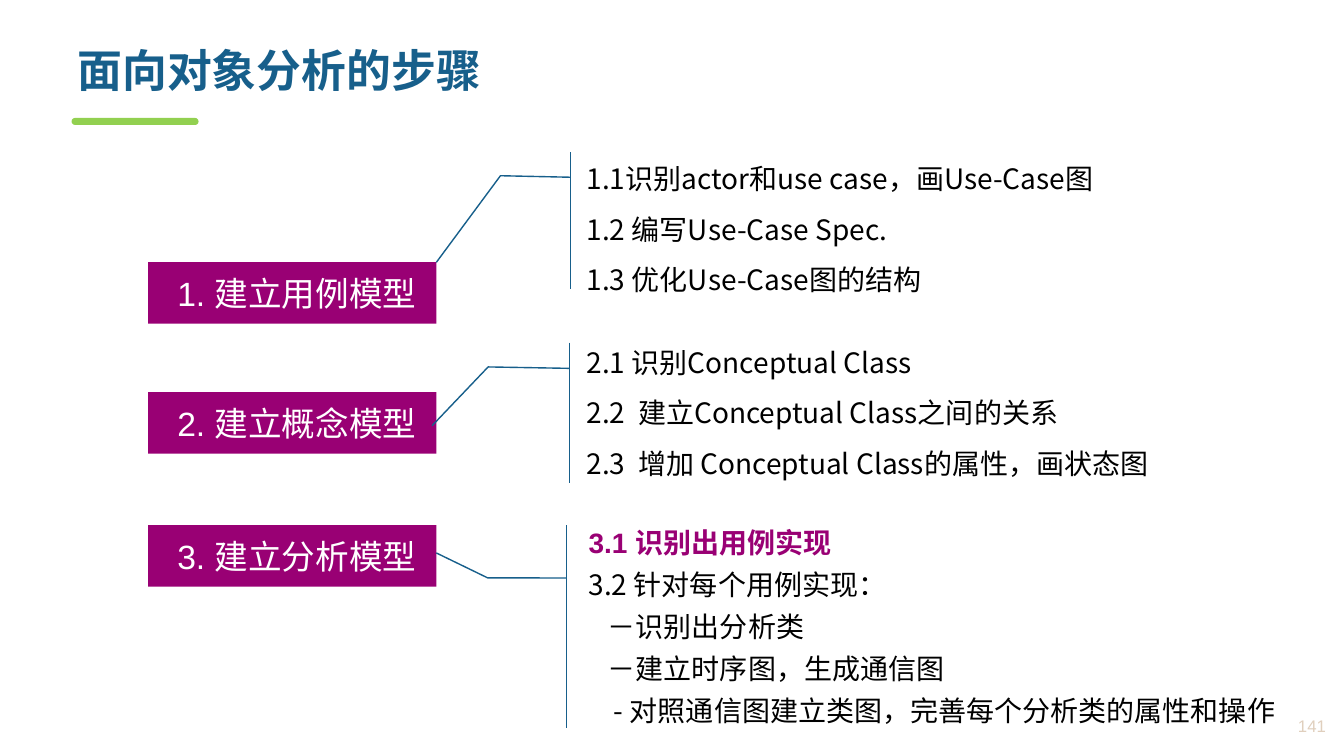
from dataclasses import dataclass

from lxml import etree
from pptx import Presentation
from pptx.dml.color import RGBColor
from pptx.enum.shapes import MSO_SHAPE
from pptx.enum.text import MSO_ANCHOR, PP_ALIGN
from pptx.oxml.ns import qn
from pptx.util import Inches, Pt

RECTANGLE = MSO_SHAPE.RECTANGLE
CALLOUT = MSO_SHAPE.LINE_CALLOUT_2_ACCENT_BAR
ROUNDED_BAR = MSO_SHAPE.ROUND_2_SAME_RECTANGLE
TOP, MIDDLE = MSO_ANCHOR.TOP, MSO_ANCHOR.MIDDLE
LEFT, RIGHT = PP_ALIGN.LEFT, PP_ALIGN.RIGHT

NOTO, ARIAL = "Noto Sans CJK SC", "Arial"
BLUE, PURPLE, GREEN = "175F8B", "990074", "92D050"
BLACK, WHITE, SAND = "000000", "FFFFFF", "E0CFBD"


@dataclass
class Span:
    text: str
    size: float = 20
    color: str = BLACK
    name: str = NOTO
    bold: bool = False


@dataclass
class Para:
    spans: list[Span]
    line: float | None = None  # exact line height in points
    before: float = 0
    indent: float = 0
    align: PP_ALIGN = LEFT


@dataclass
class Step:
    label: str
    top: float
    details: tuple[float, float, float, float]
    leader: tuple[float, ...]
    paras: list[Para]


def rgb(color: str) -> RGBColor:
    return RGBColor.from_string(color)


def write(shape, paras: list[Para], anchor=MIDDLE) -> None:
    frame = shape.text_frame
    frame.word_wrap = True
    frame.vertical_anchor = anchor
    for index, item in enumerate(paras):
        para = frame.paragraphs[0] if index == 0 else frame.add_paragraph()
        formats = {"alignment": item.align, "space_before": Pt(item.before)}
        if item.line:
            formats["line_spacing"] = Pt(item.line)
        for key, value in formats.items():
            setattr(para, key, value)
        if item.indent:
            para._p.get_or_add_pPr().set("marL", str(Inches(item.indent)))
        for span in item.spans:
            run = para.add_run()
            run.text = span.text
            formats = {"size": Pt(span.size), "bold": span.bold, "name": span.name}
            for key, value in formats.items():
                setattr(run.font, key, value)
            run.font.color.rgb = rgb(span.color)
            east_asian = etree.SubElement(run._r.get_or_add_rPr(), qn("a:ea"))
            east_asian.set("typeface", NOTO)


def add_shape(page, kind, at, fill=None, line=None, adjustments=()):
    shape = page.shapes.add_shape(kind, *map(Inches, at))
    shape.shadow.inherit = False
    if fill:
        shape.fill.solid()
        shape.fill.fore_color.rgb = rgb(fill)
    else:
        shape.fill.background()
    if line:
        shape.line.color.rgb = rgb(line)
        shape.line.width = Pt(1)
    else:
        shape.line.fill.background()
    for index, value in enumerate(adjustments):
        shape.adjustments[index] = value
    return shape


def add_text(page, at, para: Para, anchor) -> None:
    write(page.shapes.add_textbox(*map(Inches, at)), [para], anchor)


def wide(text: str, line: float = 36) -> Para:
    return Para([Span(text)], line)


def tight(text: str, indent: float = 0) -> Para:
    return Para([Span(text)], 24, 6, indent)


STEPS = [
    Step("1. 建立用例模型", 2.6, (5.72, 1.51, 5.73, 1.36),
         (0.183, -0.011, 0.172, -0.132, 0.804, -0.243),
         [wide("1.1识别actor和use case，画Use-Case图"),
          wide("1.2 编写Use-Case Spec."),
          wide("1.3 优化Use-Case图的结构")]),
    Step("2. 建立概念模型", 3.89, (5.72, 3.4, 6.46, 1.39),
         (0.183, -0.011, 0.173, -0.136, 0.592, -0.222),
         [wide("2.1 识别Conceptual Class", 24),
          wide("2.2  建立Conceptual Class之间的关系"),
          wide("2.3  增加 Conceptual Class的属性，画状态图")]),
    Step("3. 建立分析模型", 5.21, (5.74, 5.21, 7.6, 2.01),
         (0.261, -0.016, 0.26, -0.119, 0.137, -0.186),
         [Para([Span("3.1 ", color=PURPLE, name=ARIAL, bold=True),
                Span("识别出用例实现", color=PURPLE, bold=True)], 24),
          tight("3.2 针对每个用例实现："),
          tight("－识别出分析类", 0.19),
          tight("－建立时序图，生成通信图", 0.19),
          tight("- 对照通信图建立类图，完善每个分析类的属性和操作", 0.25)]),
]


def main() -> None:
    deck = Presentation()
    deck.slide_width, deck.slide_height = Inches(13.33), Inches(7.5)
    page = deck.slides.add_slide(deck.slide_layouts[6])

    # Title with its green underline
    add_shape(page, ROUNDED_BAR, (0.71, 1.17, 1.26, 0.07), GREEN, adjustments=(0.5, 0.5))
    title = Para([Span("面向对象分析的步骤", 32, BLUE, bold=True)], 36)
    add_text(page, (0.67, 0.41, 12.19, 0.75), title, TOP)

    # Steps, each with a callout of details
    for step in STEPS:
        box = add_shape(page, RECTANGLE, (1.47, step.top, 2.86, 0.61), PURPLE)
        write(box, [Para([Span(step.label, 24, WHITE, ARIAL)], indent=0.19)])
        callout = add_shape(page, CALLOUT, step.details, line=BLUE, adjustments=step.leader)
        write(callout, step.paras)

    # Page number
    number = Para([Span("141", 12, SAND, ARIAL)], align=RIGHT)
    add_text(page, (12.12, 7.01, 1.13, 0.38), number, MIDDLE)

    deck.save("out.pptx")


if __name__ == "__main__":
    main()
